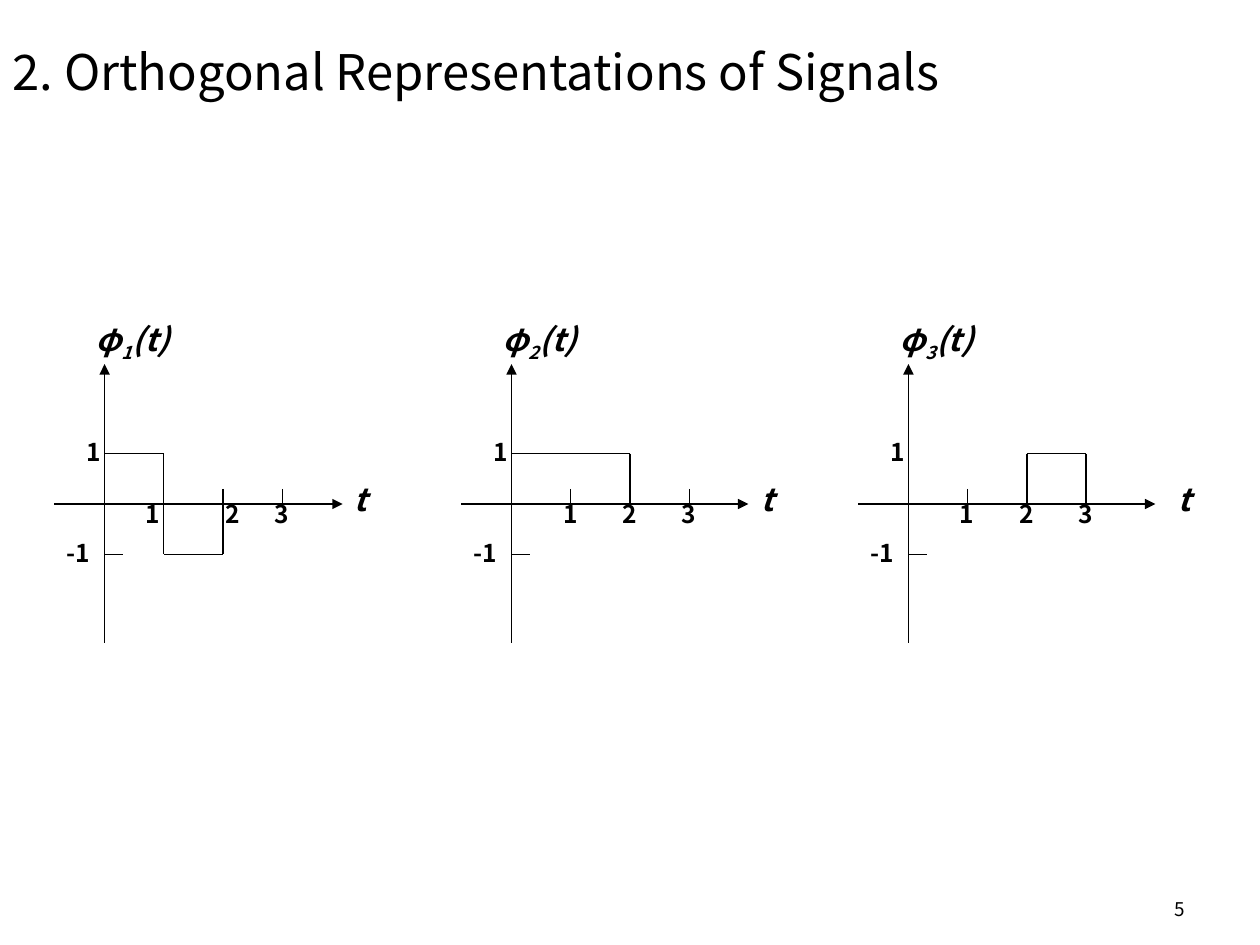
import itertools

import pptx
import pptx.dml.color
import pptx.enum.shapes
import pptx.enum.text
import pptx.oxml.ns
import pptx.oxml.xmlchemy
import pptx.util
from pptx.util import Inches

BLACK = pptx.dml.color.RGBColor(0, 0, 0)
FONT = "Noto Sans CJK KR"
TICK_FORMAT = {"size": pptx.util.Pt(14), "bold": True}
SYMBOL_FORMAT = {"size": pptx.util.Pt(18), "bold": True, "italic": True}

TIME_UNIT = 0.47
LEVEL_UNIT = 0.4
TICK_LENGTH = 0.12
LABEL_WIDTH = 0.32
LABEL_HEIGHT = 0.34

# Each path lists (time, level) corners; shifts move tick labels off the path.
PLOTS = [
    {"box": (0.43, 2.49, 2.6, 2.61), "axis_length": 2.29, "ticks": (2, 3),
     "path": [(0, 1), (1, 1), (1, -1), (2, -1), (2, 0)],
     "shifts": {1: -0.08, 2: 0.08}},
    {"box": (3.66, 2.49, 2.6, 2.61), "axis_length": 2.28, "ticks": (1, 3),
     "path": [(0, 1), (2, 1), (2, 0)], "shifts": {}},
    {"box": (6.81, 2.49, 2.76, 2.61), "axis_length": 2.36, "ticks": (1,),
     "path": [(2, 0), (2, 1), (3, 1), (3, 0)], "shifts": {}},
]


def add_text(page, box, pieces, format_values, align="LEFT", anchor="TOP"):
    """Add a text box; pieces are (text, baseline percent) pairs."""
    frame = page.shapes.add_textbox(*map(Inches, box)).text_frame
    frame.word_wrap = True
    frame.vertical_anchor = getattr(pptx.enum.text.MSO_ANCHOR, anchor)
    para = frame.paragraphs[0]
    para.alignment = getattr(pptx.enum.text.PP_ALIGN, align)
    for text, baseline in pieces:
        span = para.add_run()
        span.text = text
        span.font.name = FONT
        span.font.color.rgb = BLACK
        for name, value in format_values.items():
            setattr(span.font, name, value)
        if baseline:
            span.font._element.set("baseline", str(baseline * 1000))


def add_line(page, start, end, arrow=False):
    line = page.shapes.add_connector(
        pptx.enum.shapes.MSO_CONNECTOR.STRAIGHT, *map(Inches, (*start, *end)))
    line.line.color.rgb = BLACK
    line.line.width = pptx.util.Pt(0.75)
    if arrow:
        head = pptx.oxml.xmlchemy.OxmlElement("a:tailEnd")
        head.set("type", "triangle")
        line.line._get_or_add_ln().append(head)
    properties = line._element.find(pptx.oxml.ns.qn("p:spPr"))
    properties.append(pptx.oxml.xmlchemy.OxmlElement("a:effectLst"))


def add_plot(page, number, box, axis_length, ticks, path, shifts):
    left, top, width, height = box
    origin_x, origin_y = left + 0.4, top + 1.51

    def point(time, level):
        return origin_x + time * TIME_UNIT, origin_y - level * LEVEL_UNIT

    add_line(page, (left, origin_y), (left + axis_length, origin_y), arrow=True)
    add_line(page, (origin_x, top + height), (origin_x, top + 0.4), arrow=True)
    for time in ticks:
        x, y = point(time, 0)
        add_line(page, (x, y - TICK_LENGTH), (x, y))
    x, y = point(0, -1)
    add_line(page, (x, y), (x + 0.15, y))
    for start, end in itertools.pairwise(path):
        add_line(page, point(*start), point(*end))

    for time in (1, 2, 3):
        x = point(time, 0)[0] - LABEL_WIDTH / 2 + shifts.get(time, 0)
        add_text(page, (x, origin_y - 0.09, LABEL_WIDTH, LABEL_HEIGHT),
                 [(str(time), 0)], TICK_FORMAT)
    for level, label_left, label_width in ((1, left + 0.16, LABEL_WIDTH),
                                           (-1, left, 0.47)):
        y = point(0, level)[1] - 0.18
        add_text(page, (label_left, y, label_width, LABEL_HEIGHT),
                 [(str(level), 0)], TICK_FORMAT)
    add_text(page, (left + width - LABEL_WIDTH, origin_y - 0.24, LABEL_WIDTH, 0.4),
             [("t", 0)], SYMBOL_FORMAT)
    add_text(page, (left + 0.23, top, 1.58, 0.44),
             [("φ", 0), (str(number), -25), ("(t)", 0)], SYMBOL_FORMAT)


def add_title(page, box):
    add_text(page, box, [("2. Orthogonal Representations of Signals", 0)],
             {"size": pptx.util.Pt(28)}, anchor="MIDDLE")


def add_page_number(page, box):
    add_text(page, box, [("5", 0)], {"size": pptx.util.Pt(10.8)},
             align="RIGHT", anchor="BOTTOM")


def main():
    deck = pptx.Presentation()
    deck.slide_width, deck.slide_height = Inches(10), Inches(7.5)
    page = deck.slides.add_slide(deck.slide_layouts[6])
    add_title(page, (0, 0.21, 9, 0.71))
    for number, plot in enumerate(PLOTS, start=1):
        add_plot(page, number, **plot)
    add_page_number(page, (7.17, 6.83, 2.33, 0.52))
    deck.save("out.pptx")


if __name__ == "__main__":
    main()
